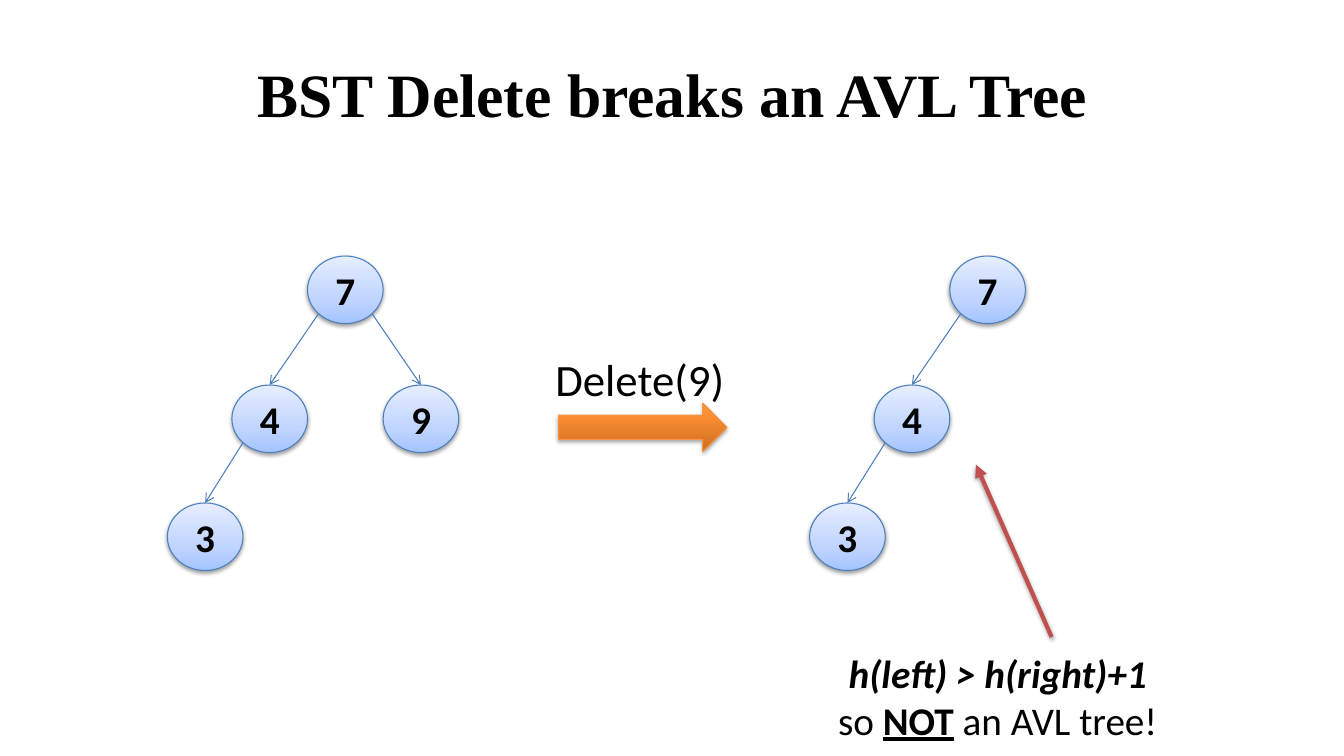
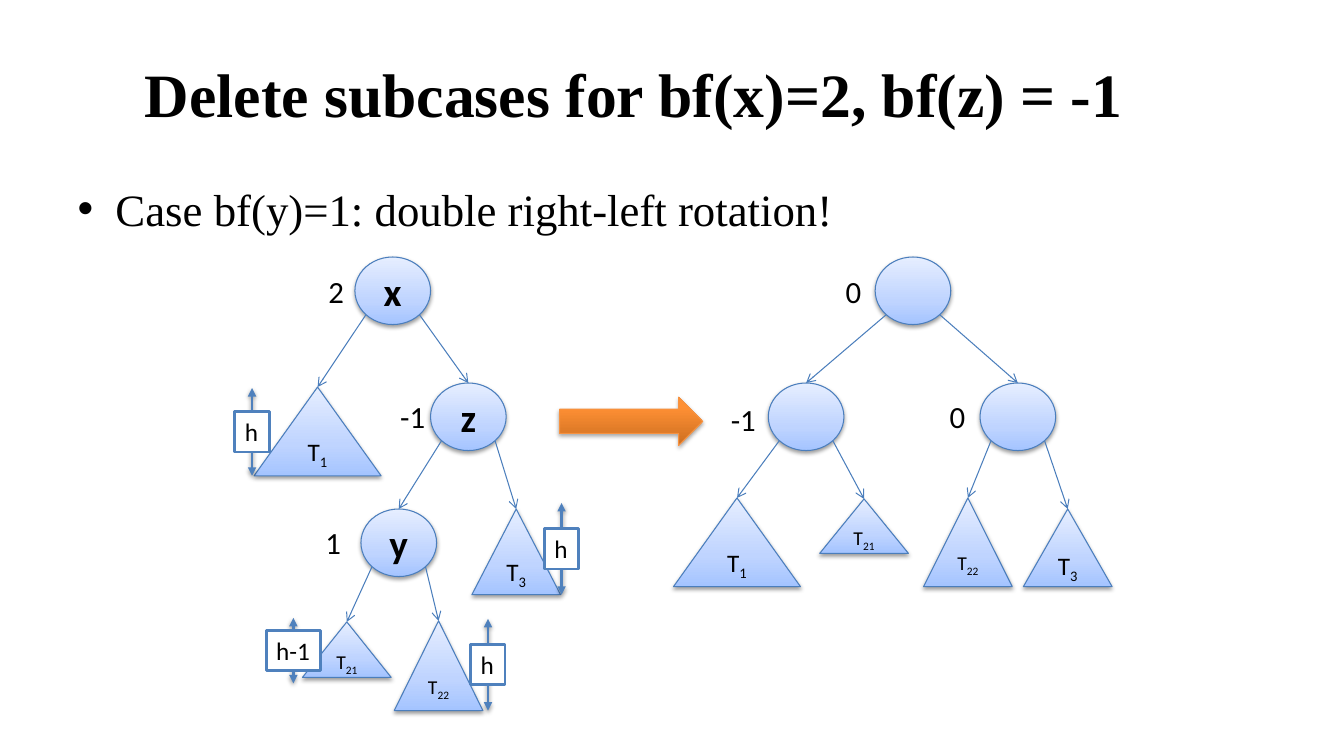
import copy
import math

import lxml.etree
import pptx
import pptx.dml.color
import pptx.enum.shapes
import pptx.enum.text
import pptx.oxml.ns
import pptx.util

Inches = pptx.util.Inches
Pt = pptx.util.Pt
RGBColor = pptx.dml.color.RGBColor
MSO_SHAPE = pptx.enum.shapes.MSO_SHAPE
STRAIGHT = pptx.enum.shapes.MSO_CONNECTOR.STRAIGHT
PP_ALIGN = pptx.enum.text.PP_ALIGN
qn = pptx.oxml.ns.qn

BLACK = RGBColor(0x00, 0x00, 0x00)
WHITE = RGBColor(0xFF, 0xFF, 0xFF)
EDGE_BLUE = RGBColor(0x4B, 0x7E, 0xBC)
MARKER_BLUE = RGBColor(0x4F, 0x81, 0xBD)
ARROW_EDGE = RGBColor(0xF6, 0x92, 0x40)
RED = RGBColor(0xC0, 0x50, 0x4D)
BLUE_STOPS = ((0, RGBColor(0xA4, 0xC4, 0xFF)), (0.35, RGBColor(0xBF, 0xD4, 0xFF)),
              (1, RGBColor(0xE6, 0xEE, 0xFF)))
ORANGE_STOPS = ((0, RGBColor(0xCC, 0x6E, 0x20)), (0.8, RGBColor(0xFF, 0x90, 0x34)),
                (1, RGBColor(0xFF, 0x91, 0x36)))

HEADING = {"name": "Times New Roman", "size": Pt(44), "bold": True}
BULLET = {"name": "Times New Roman", "size": Pt(32)}
KEY = {"name": "Calibri", "size": Pt(28), "bold": True}
REMARK = {"name": "Calibri", "size": Pt(28)}
OPERATION = {"name": "Calibri", "size": Pt(32)}
BALANCE = {"name": "Calibri", "size": Pt(22)}
HEIGHT = {"name": "Calibri", "size": Pt(18)}
SMALL = {"name": "Calibri", "size": Pt(14)}

NODE_W, NODE_H = 0.75, 0.67
TITLE_ONLY, TITLE_AND_BODY = 5, 1


class TreeDeck:
    def __init__(self):
        self.deck = pptx.Presentation()
        self.deck.slide_width = Inches(13.33)
        self.deck.slide_height = Inches(7.5)
        self.slide = None

    def start_slide(self, layout, title, left=0.67, width=12):
        self.slide = self.deck.slides.add_slide(self.deck.slide_layouts[layout])
        self.placeholder(0, title, (left, 0.3, width, 1.25), HEADING)

    def placeholder(self, index, text, box, style):
        holder = self.slide.placeholders[index]
        self.set_values(holder, dict(zip(("left", "top", "width", "height"), map(Inches, box))))
        self.add_text(holder.text_frame.paragraphs[0], text, style)

    def set_values(self, target, values):
        for name, value in values.items():
            setattr(target, name, value)

    def add_text(self, paragraph, text, style, **extra):
        run = paragraph.add_run()
        run.text = text
        self.set_values(run.font, {**style, **extra})
        run.font.color.rgb = BLACK
        return run

    def outline(self, item, color, width):
        item.line.color.rgb = color
        item.line.width = Pt(width)

    def effect(self, item, shadow=True, opacity=38, distance=1.6):
        effects = lxml.etree.SubElement(item._element.spPr, qn("a:effectLst"))
        if shadow:
            outer = lxml.etree.SubElement(
                effects, qn("a:outerShdw"), blurRad=str(Pt(3.1)), dist=str(Pt(distance)),
                dir="5400000", rotWithShape="0")
            tint = lxml.etree.SubElement(outer, qn("a:srgbClr"), val="000000")
            lxml.etree.SubElement(tint, qn("a:alpha"), val=str(opacity * 1000))

    def shaded(self, kind, box, stops, edge, **shadow):
        shape = self.slide.shapes.add_shape(kind, *map(Inches, box))
        shape.fill.gradient()
        shape.fill.gradient_angle = 90
        stop_list = shape._element.spPr.find(".//" + qn("a:gsLst"))
        stop_list.append(copy.deepcopy(stop_list[0]))
        for stop, (position, color) in zip(shape.fill.gradient_stops, stops):
            stop.position = position
            stop.color.rgb = color
        self.outline(shape, edge, 0.75)
        self.effect(shape, **shadow)
        shape.text_frame.word_wrap = False
        shape.text_frame.paragraphs[0].alignment = PP_ALIGN.CENTER
        return shape

    def node(self, key, left, top):
        circle = self.shaded(MSO_SHAPE.OVAL, (left, top, NODE_W, NODE_H), BLUE_STOPS, EDGE_BLUE)
        if key:
            self.add_text(circle.text_frame.paragraphs[0], key, KEY)
        return circle

    def subtree(self, number, left, top, width, height):
        triangle = self.shaded(MSO_SHAPE.ISOSCELES_TRIANGLE, (left, top, width, height),
                               BLUE_STOPS, EDGE_BLUE)
        style = HEIGHT if len(number) == 1 else SMALL
        paragraph = triangle.text_frame.paragraphs[0]
        self.add_text(paragraph, "T", style)
        index = self.add_text(paragraph, number, style)
        index.font._element.set("baseline", "-25000")
        return triangle

    def step_arrow(self, left, top, width):
        self.shaded(MSO_SHAPE.RIGHT_ARROW, (left, top, width, 0.48), ORANGE_STOPS, ARROW_EDGE,
                    opacity=35, distance=1.8)

    def line(self, start, end, color, width, shadow=True, **heads):
        connector = self.slide.shapes.add_connector(STRAIGHT, *map(Inches, start + end))
        self.outline(connector, color, width)
        for tag in ("headEnd", "tailEnd"):
            if tag in heads:
                lxml.etree.SubElement(connector.line._get_or_add_ln(), qn("a:" + tag),
                                      type=heads[tag])
        self.effect(connector, shadow)
        return connector

    def edges(self, parent, *children):
        middle = parent.left + parent.width // 2
        reach = math.sqrt(0.5) / 2
        for child in children:
            side = 1 if child.left + child.width // 2 > middle else -1
            start = (pptx.util.Emu(round(middle + side * reach * parent.width)).inches,
                     pptx.util.Emu(round(parent.top + (0.5 + reach) * parent.height)).inches)
            connector = self.line(start, start, EDGE_BLUE, 0.75, shadow=False, tailEnd="arrow")
            connector.end_connect(child, 0)

    def label(self, text, box, style):
        holder = self.slide.shapes.add_textbox(*map(Inches, box))
        holder.text_frame.word_wrap = False
        holder.text_frame.auto_size = pptx.enum.text.MSO_AUTO_SIZE.SHAPE_TO_FIT_TEXT
        self.add_text(holder.text_frame.paragraphs[0], text, style)
        return holder

    def balance(self, text, left, top):
        self.label(text, (left, top, 0.36 if len(text) == 1 else 0.45, 0.47), BALANCE)

    def height_marker(self, text, center, top, bottom):
        self.line((center, top), (center, bottom), MARKER_BLUE, 2,
                  headEnd="triangle", tailEnd="triangle")
        width = 0.34 if len(text) == 1 else 0.54
        box = (center - width / 2, (top + bottom) / 2 - 0.2, width, 0.4)
        frame = self.label(text, box, HEIGHT)
        frame.fill.solid()
        frame.fill.fore_color.rgb = WHITE
        self.outline(frame, MARKER_BLUE, 2)

    def remark(self, box, lines):
        holder = self.slide.shapes.add_textbox(*map(Inches, box))
        frame = holder.text_frame
        frame.word_wrap = True
        for number, pieces in enumerate(lines):
            paragraph = frame.add_paragraph() if number else frame.paragraphs[0]
            paragraph.alignment = PP_ALIGN.CENTER
            for text, extra in pieces:
                self.add_text(paragraph, text, REMARK, **extra)


def delete_breaks_tree(deck):
    deck.start_slide(TITLE_ONLY, "BST Delete breaks an AVL Tree")
    top = 2.54
    for left, keeps_nine in ((3.05, True), (9.42, False)):
        seven = deck.node("7", left, top)
        four = deck.node("4", left - 0.75, top + 1.28)
        three = deck.node("3", left - 1.39, top + 2.45)
        deck.edges(seven, four)
        deck.edges(four, three)
        if keeps_nine:
            deck.edges(seven, deck.node("9", left + 0.75, top + 1.28))
    deck.step_arrow(5.54, 4, 1.67)
    deck.label("Delete(9)", (5.41, 3.44, 1.9, 0.64), OPERATION)
    deck.line((10.43, 6.32), (9.68, 4.61), RED, 3, tailEnd="triangle")
    deck.remark((8.2, 6.39, 3.39, 1.04), (
        (("h(left) > h(right)+1", {"bold": True, "italic": True}),),
        (("so ", {}), ("NOT", {"bold": True, "underline": True}), (" an AVL tree!", {})),
    ))


def double_rotation(deck):
    deck.start_slide(TITLE_AND_BODY, "Delete subcases for bf(x)=2, bf(z) = -1", 1.17, 10.24)
    deck.placeholder(1, "Case bf(y)=1: double right-left rotation!", (0.67, 1.75, 12, 4.95), BULLET)

    x = deck.node("x", 3.52, 2.55)
    z = deck.node("z", 4.27, 3.8)
    y = deck.node("y", 3.58, 5.05)
    deck.edges(x, deck.subtree("1", 2.52, 3.84, 1.26, 0.88), z)
    deck.edges(z, y, deck.subtree("3", 4.68, 5.05, 0.88, 0.85))
    deck.edges(y, deck.subtree("21", 3, 6.17, 0.88, 0.55),
               deck.subtree("22", 3.91, 6.16, 0.88, 0.89))

    root = deck.node("", 8.68, 2.55)
    left_child = deck.node("", 7.62, 3.8)
    right_child = deck.node("", 9.72, 3.8)
    deck.edges(root, left_child, right_child)
    deck.edges(left_child, deck.subtree("1", 6.68, 4.94, 1.26, 0.88),
               deck.subtree("21", 8.13, 4.95, 0.88, 0.54))
    deck.edges(right_child, deck.subtree("22", 9.16, 4.94, 0.88, 0.88),
               deck.subtree("3", 10.15, 5.05, 0.88, 0.77))

    for factor in (("2", 3.16, 2.66), ("-1", 3.87, 3.9), ("1", 3.13, 5.15),
                   ("0", 8.29, 2.66), ("-1", 7.15, 3.93), ("0", 9.32, 3.9)):
        deck.balance(*factor)
    for marker in (("h", 2.5, 3.85, 4.72), ("h", 5.57, 4.99, 5.9),
                   ("h", 4.84, 6.14, 7.05), ("h-1", 2.91, 6.13, 6.78)):
        deck.height_marker(*marker)
    deck.step_arrow(5.55, 3.94, 1.42)


def main():
    deck = TreeDeck()
    delete_breaks_tree(deck)
    double_rotation(deck)
    deck.deck.save("out.pptx")


if __name__ == "__main__":
    main()
